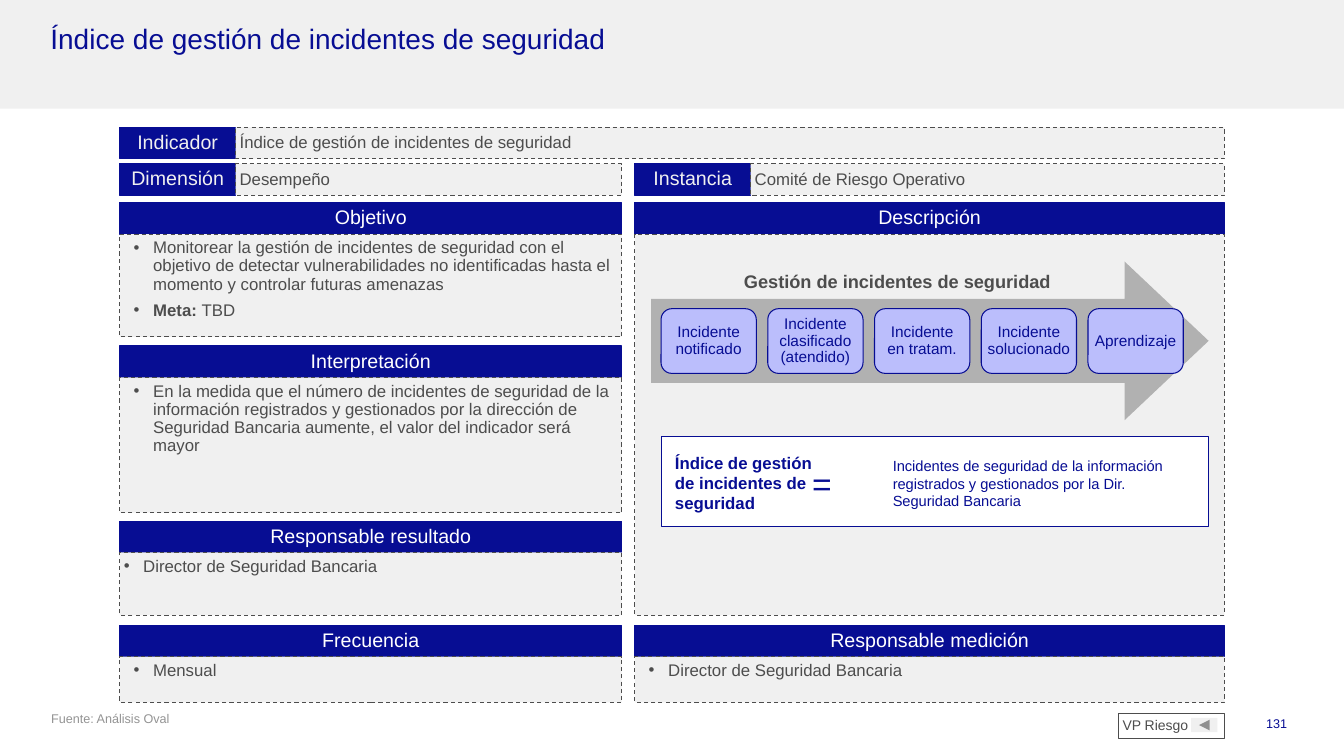
import pptx
import pptx.chart.data
import pptx.dml.color
import pptx.enum.dml
import pptx.enum.shapes
import pptx.enum.text
import pptx.oxml
import pptx.oxml.ns
import pptx.util
from lxml import etree

Cm = pptx.util.Cm
Pt = pptx.util.Pt
RGBColor = pptx.dml.color.RGBColor
SHAPE = pptx.enum.shapes.MSO_SHAPE
ALIGN = pptx.enum.text.PP_ALIGN
ANCHOR = pptx.enum.text.MSO_ANCHOR
DASH = pptx.enum.dml.MSO_LINE.DASH

NAVY = RGBColor(0x07, 0x0D, 0x93)
LILAC = RGBColor(0xBB, 0xBE, 0xFC)
PALE = RGBColor(0xF0, 0xF0, 0xF0)
SILVER = RGBColor(0xB1, 0xB1, 0xB1)
GREY = RGBColor(0x94, 0x94, 0x94)
DARK = RGBColor(0x4D, 0x4D, 0x4D)
WHITE = RGBColor(0xFF, 0xFF, 0xFF)

BAR = 0.79
LABEL = 2.92
TIGHT = (0.1, 0.13, 0.1, 0.13)
LOOSE = (0.25, 0.13, 0.25, 0.13)


def assign(target, values):
    """Set every attribute named in the dict on the target."""
    for name, value in values.items():
        setattr(target, name, value)


def add_bullet(para, hang):
    """Give the paragraph a round bullet with its text starting at hang."""
    props = para._p.get_or_add_pPr()
    props.set("marL", str(Cm(hang)))
    props.set("indent", str(-Cm(0.49)))
    colour = etree.SubElement(props, pptx.oxml.ns.qn("a:buClr"))
    etree.SubElement(colour, pptx.oxml.ns.qn("a:srgbClr"), val=str(DARK))
    etree.SubElement(props, pptx.oxml.ns.qn("a:buFont"), typeface="Arial")
    etree.SubElement(props, pptx.oxml.ns.qn("a:buChar"), char="•")


def write(shape, paras, size, colour, align=ALIGN.LEFT, anchor=ANCHOR.TOP,
          insets=TIGHT, spacing=0.9, bold=False, hang=None, wrap=True):
    """Fill the shape with paragraphs, each a list of (text, bold) spans or a string."""
    frame = shape.text_frame
    left, top, right, bottom = map(Cm, insets)
    assign(frame, {"margin_left": left, "margin_top": top, "margin_right": right,
                   "margin_bottom": bottom, "word_wrap": wrap, "vertical_anchor": anchor,
                   "auto_size": pptx.enum.text.MSO_AUTO_SIZE.NONE})
    for index, spans in enumerate(paras):
        para = frame.add_paragraph() if index else frame.paragraphs[0]
        if hang is not None:
            add_bullet(para, hang)
        assign(para, {"alignment": align, "line_spacing": spacing, "space_after": Pt(3),
                      "space_before": Pt(3 if index else 0)})
        for text, strong in [(spans, bold)] if isinstance(spans, str) else spans:
            span = para.add_run()
            span.text = text
            assign(span.font, {"name": "Arial", "size": Pt(size), "bold": strong})
            span.font.color.rgb = colour


def add_block(page, box, fill=None, line=None, kind=SHAPE.RECTANGLE, weight=0.75, dash=None):
    """Draw a preset shape in the box with the given fill and outline."""
    shape = page.shapes.add_shape(kind, *map(Cm, box))
    shape.shadow.inherit = False
    if fill is None:
        shape.fill.background()
    else:
        shape.fill.solid()
        shape.fill.fore_color.rgb = fill
    if line is None:
        shape.line.fill.background()
    else:
        shape.line.color.rgb = line
        assign(shape.line, {"width": Pt(weight), "dash_style": dash})
    return shape


def add_text(page, box, text, size, colour, **layout):
    """Place a text box with one paragraph."""
    layout = {"insets": LOOSE, "spacing": 1.0, **layout}
    write(page.shapes.add_textbox(*map(Cm, box)), [text], size, colour, **layout)


def add_heading(page, box, text):
    """Draw the title over a pale band that fills the box."""
    left, top, width, height = box
    title = page.shapes.title
    title._element.addprevious(add_block(page, box, PALE)._element)
    assign(title, {"left": Cm(left + 1.17), "top": Cm(top + 0.51),
                   "width": Cm(width - 2.37), "height": Cm(height - 0.99)})
    write(title, [text], 20, NAVY)


def add_bar(page, box, text, colour=WHITE):
    """Draw a navy bar with a centred caption."""
    write(add_block(page, box, NAVY, NAVY), [text], 14, colour, ALIGN.CENTER, ANCHOR.MIDDLE)


def add_field(page, box, label, value):
    """Draw a navy label followed by its dashed value cell."""
    left, top, width, height = box
    add_bar(page, (left, top, LABEL, height), label, PALE)
    cell = add_block(page, (left + LABEL, top, width - LABEL, height), PALE, DARK, dash=DASH)
    write(cell, [value], 12, DARK, anchor=ANCHOR.MIDDLE)


def add_panel(page, box, caption, paras=(), hang=0.74):
    """Draw a captioned panel with bulleted paragraphs."""
    left, top, width, height = box
    add_bar(page, (left, top, width, BAR), caption)
    body = add_block(page, (left, top + BAR, width, height - BAR), PALE, DARK, dash=DASH)
    write(body, paras, 12, DARK, hang=hang)


def add_process(page, box, caption, steps):
    """Draw the arrow with its caption and evenly spaced steps."""
    left, top, width, height = box
    arrow = add_block(page, box, SILVER, kind=SHAPE.RIGHT_ARROW)
    arrow.adjustments[0] = 0.53
    arrow.adjustments[1] = 0.53
    for index, (text, side) in enumerate(steps):
        place = (left + 0.25 + 2.69 * index, top + 1.19, 2.4, 1.63)
        step = add_block(page, place, LILAC, NAVY, SHAPE.ROUNDED_RECTANGLE)
        write(step, [text], 11, NAVY, ALIGN.CENTER, ANCHOR.MIDDLE, (side, 0.13, side, 0.13))
    add_text(page, (left + 1.35, top + 0.08, 9.7, 0.84), caption, 13, DARK,
             align=ALIGN.CENTER, anchor=ANCHOR.MIDDLE, bold=True)


def add_formula(page, box, name, meaning):
    """Draw the framed definition of the index."""
    left, top, width, height = box
    add_block(page, box, WHITE, NAVY, weight=0.5)
    add_text(page, (left + 0.1, top + 0.28, 4.24, 1.8), name, 12, NAVY, bold=True)
    add_text(page, (left + 3.56, top + 0.53, 1.02, 1.27), "=", 24, NAVY, wrap=False)
    add_text(page, (left + 5.59, top + 0.38, 7.62, 1.6), meaning, 10.5, NAVY)


def add_footer(page, box, source, owner, number):
    """Place the source, the owner button and the page number."""
    left, top, width, height = box
    add_text(page, (left, top, 28, height), source, 9, GREY, insets=(0.1, 0, 0.1, 0.1))
    button = add_block(page, (left + 28.83, top + 0.18, 0.66, 0.36), PALE,
                       kind=SHAPE.ACTION_BUTTON_FORWARD_OR_NEXT)
    button.rotation = 180
    frame = add_block(page, (left + 27, top + 0.08, 2.67, 0.61), line=DARK)
    write(frame, [owner], 10, DARK, anchor=ANCHOR.MIDDLE)
    add_text(page, (left + width - 2.82, top, 2.82, height), number, 9, NAVY, align=ALIGN.RIGHT)


def main():
    """Build the indicator sheet."""
    deck = pptx.Presentation()
    assign(deck, {"slide_width": Cm(33.87), "slide_height": Cm(19.05)})
    page = deck.slides.add_slide(deck.slide_layouts[5])
    name = "Índice de gestión de incidentes de seguridad"
    director = ["Director de Seguridad Bancaria"]
    first, second = (3.02, 12.65), (16, 14.86)

    add_heading(page, (0, 0, 33.87, 2.74), name)
    for (left, width), top, label, value in [
            ((3.02, 27.84), 3.21, "Indicador", name),
            (first, 4.13, "Dimensión", "Desempeño"),
            (second, 4.13, "Instancia", "Comité de Riesgo Operativo")]:
        add_field(page, (left, top, width, BAR), label, value)

    goal = ["Monitorear la gestión de incidentes de seguridad con el objetivo de detectar "
            "vulnerabilidades no identificadas hasta el momento y controlar futuras amenazas",
            [("Meta: ", True), ("TBD", False)]]
    reading = ["En la medida que el número de incidentes de seguridad de la información "
               "registrados y gestionados por la dirección de Seguridad Bancaria aumente, "
               "el valor del indicador será mayor"]
    for (left, width), top, height, caption, paras, hang in [
            (first, 5.11, 3.38, "Objetivo", goal, 0.74),
            (first, 8.72, 4.2, "Interpretación", reading, 0.74),
            (first, 13.13, 2.37, "Responsable resultado", director, 0.49),
            (first, 15.76, 1.94, "Frecuencia", ["Mensual"], 0.74),
            (second, 5.11, 10.39, "Descripción", [], None),
            (second, 15.76, 1.94, "Responsable medición", director, 0.74)]:
        add_panel(page, (left, top, width, height), caption, paras, hang)

    add_process(page, (16.41, 6.59, 14.05, 4), "Gestión de incidentes de seguridad", [
        ("Incidente notificado", 0.1), ("Incidente clasificado (atendido)", 0.1),
        ("Incidente en tratam.", 0.1), ("Incidente solucionado", 0), ("Aprendizaje", 0)])
    add_formula(page, (16.66, 11, 13.8, 2.26), name,
                "Incidentes de seguridad de la información registrados y gestionados "
                "por la Dir. Seguridad Bancaria")
    add_footer(page, (1.19, 17.91, 31.5, 1.02), "Fuente: Análisis Oval", "VP Riesgo", "131")
    deck.save("out.pptx")


if __name__ == "__main__":
    main()
